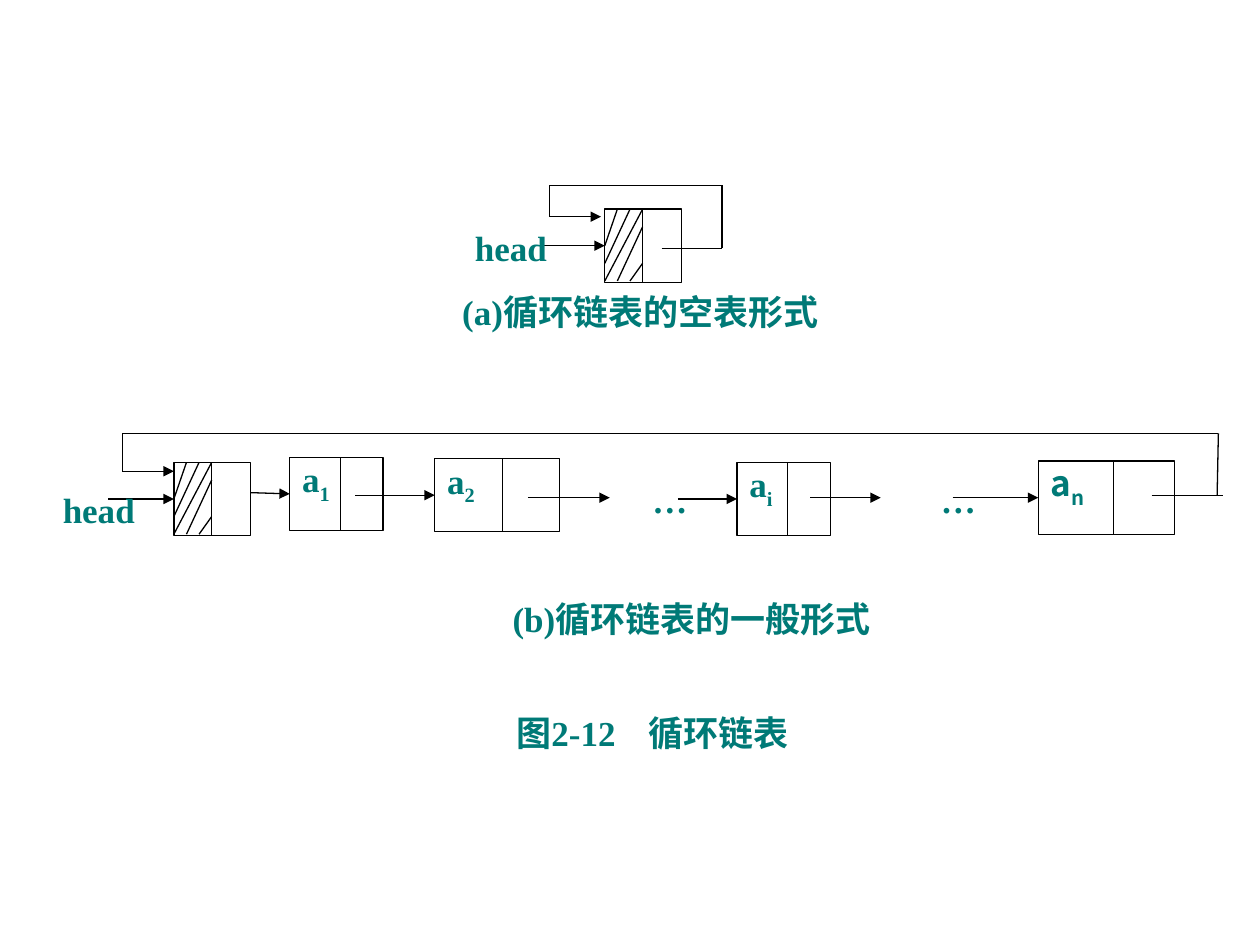
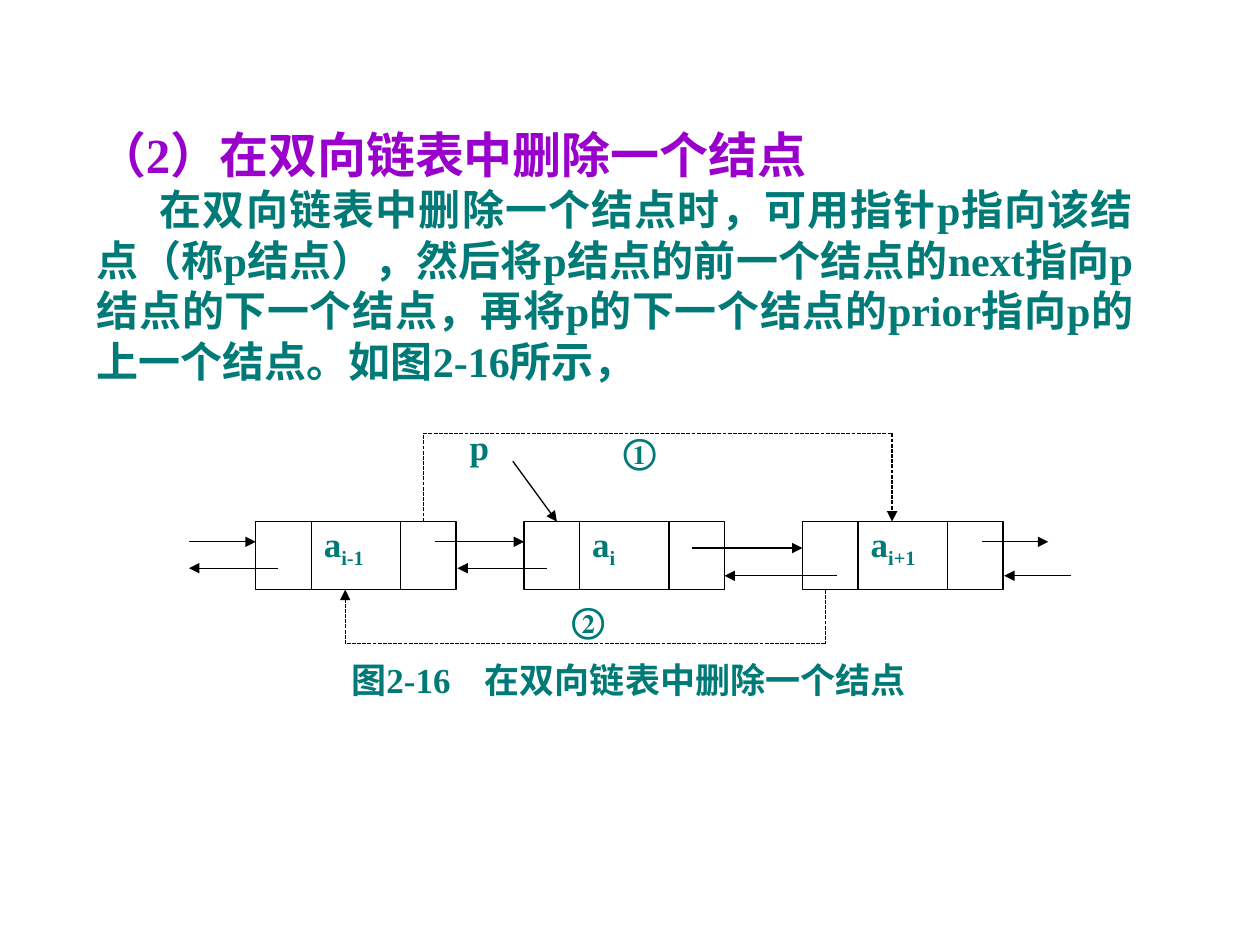
from dataclasses import dataclass

from lxml import etree
from pptx import Presentation
from pptx import util as u
from pptx.dml.color import RGBColor
from pptx.enum import dml, shapes, text
from pptx.oxml import ns


@dataclass(frozen=True)
class Theme:
    ink: RGBColor = RGBColor(0x00, 0x7A, 0x77)
    heading: RGBColor = RGBColor(0x99, 0x00, 0xCC)
    stroke: RGBColor = RGBColor(0x00, 0x00, 0x00)
    paper: RGBColor = RGBColor(0xFF, 0xFF, 0xFF)
    latin: str = "Times New Roman"
    asian: str = "Noto Sans CJK SC"
    label_size: int = 20
    body_size: int = 24
    heading_size: int = 28
    leading: float = 1.2
    stroke_width: float = 0.75
    subscript: int = -25000


HEAD_WIDTH = 0.61
NODE_HEIGHT = 0.58
DATA_CELL = 0.3
HATCHING = (
    (0.3, 0, 0, 0.57),
    (0.1, 0, 0, 0.29),
    (0.2, 0, 0, 0.43),
    (0.3, 0.14, 0.1, 0.57),
    (0.3, 0.43, 0.2, 0.57),
)


def add_xml(parent, tag, **values):
    return etree.SubElement(parent, ns.qn(tag), **values)


class Drawing:
    def __init__(self, deck, theme):
        self.deck = deck
        self.theme = theme
        self.page = None

    def new_page(self, layout):
        self.page = self.deck.slides.add_slide(self.deck.slide_layouts[layout])

    def span(self, para, words, size, color, font=None, baseline=None):
        span = para.add_run()
        span.text = words
        values = {"name": font or self.theme.latin, "size": u.Pt(size), "bold": True}
        for key, value in values.items():
            setattr(span.font, key, value)
        span.font.color.rgb = color
        properties = span._r.get_or_add_rPr()
        add_xml(properties, "a:ea", typeface=self.theme.asian)
        if baseline:
            properties.set("baseline", str(baseline))

    def frame(self, box, size, inset=0.1, align=text.PP_ALIGN.LEFT):
        frame = box.text_frame
        values = {
            "word_wrap": True,
            "auto_size": text.MSO_AUTO_SIZE.NONE,
            "vertical_anchor": text.MSO_ANCHOR.TOP,
            "margin_left": u.Inches(inset),
            "margin_right": u.Inches(0.1),
            "margin_top": u.Inches(0.05),
            "margin_bottom": u.Inches(0.05),
        }
        for key, value in values.items():
            setattr(frame, key, value)
        para = frame.paragraphs[0]
        para.alignment = align
        para.line_spacing = u.Pt(size * self.theme.leading)
        para.space_before = u.Pt(0)
        return para

    def title(self, words, left, top, width, height):
        box = self.page.shapes.title
        values = {"left": left, "top": top, "width": width, "height": height}
        for key, value in values.items():
            setattr(box, key, u.Inches(value))
        size = self.theme.heading_size
        self.span(self.frame(box, size), words, size, self.theme.heading)

    def label(self, words, left, top, width, height=0.44, size=None, tab=None,
              indent=None, align=text.PP_ALIGN.LEFT):
        size = size or self.theme.label_size
        box = self.page.shapes.add_textbox(*map(u.Inches, (left, top, width, height)))
        para = self.frame(box, size, align=align)
        properties = para._p.get_or_add_pPr()
        if tab:
            stops = add_xml(properties, "a:tabLst")
            add_xml(stops, "a:tab", pos=str(u.Inches(tab)), algn="l")
        if indent:
            properties.set("indent", str(u.Inches(indent)))
        self.span(para, words, size, self.theme.ink)

    def line(self, start, end, arrow=False, dotted=False, target=None, side=1):
        connector = self.page.shapes.add_connector(
            shapes.MSO_CONNECTOR.STRAIGHT, *map(u.Inches, (*start, *end)))
        if target is not None:
            connector.end_connect(target, side)
        connector.line.color.rgb = self.theme.stroke
        connector.line.width = u.Pt(self.theme.stroke_width)
        if dotted:
            connector.line.dash_style = dml.MSO_LINE.SQUARE_DOT
        if arrow:
            add_xml(connector.line._get_or_add_ln(), "a:tailEnd", type="triangle")
        add_xml(connector._element.spPr, "a:effectLst")

    def route(self, points, dotted=False):
        legs = list(zip(points, points[1:]))
        for number, (start, end) in enumerate(legs, 1):
            self.line(start, end, arrow=number == len(legs), dotted=dotted)

    def node(self, left, top, width, height, dividers, name="", index="",
             inset=0.1, font=None):
        box = self.page.shapes.add_shape(
            shapes.MSO_SHAPE.RECTANGLE, *map(u.Inches, (left, top, width, height)))
        box.shadow.inherit = False
        box.fill.solid()
        box.fill.fore_color.rgb = self.theme.paper
        box.line.color.rgb = self.theme.stroke
        box.line.width = u.Pt(self.theme.stroke_width)
        if name:
            size, ink = self.theme.label_size, self.theme.ink
            para = self.frame(box, size, inset)
            self.span(para, name, size, ink, font)
            self.span(para, index, size, ink, font, self.theme.subscript)
        for offset in dividers:
            self.line((left + offset, top), (left + offset, top + height))
        return box

    def head_node(self, left, top):
        box = self.node(left, top, HEAD_WIDTH, NODE_HEIGHT, [DATA_CELL])
        for x1, y1, x2, y2 in HATCHING:
            self.line((left + x1, top + y1), (left + x2, top + y2))
        return box


def draw_circular_lists(drawing):
    drawing.new_page(6)

    empty_head = drawing.head_node(4.8, 1.66)
    drawing.line((4.28, 1.95), (4.8, 1.95), arrow=True, target=empty_head)
    drawing.route([(5.25, 1.97), (5.73, 1.97), (5.73, 1.47), (4.36, 1.47),
                   (4.36, 1.72), (4.77, 1.72)])
    drawing.label("head", 3.67, 1.75, 0.77)
    drawing.label("(a)循环链表的空表形式", 3.57, 2.26, 3.2)

    head = drawing.head_node(1.38, 3.67)
    drawing.line((0.86, 3.96), (1.38, 3.96), arrow=True, target=head)
    nodes = (
        (2.3, 3.63, 0.74, 0.4, "1", 1.99, 3.91, None),
        (3.45, 3.64, 0.99, 0.54, "2", 2.82, 3.93, None),
        (5.85, 3.67, 0.74, 0.4, "i", 5.38, 3.96, None),
        (8.24, 3.66, 1.08, 0.6, "n", 7.56, 3.95, drawing.theme.asian),
    )
    for left, top, width, divider, index, start, level, font in nodes:
        box = drawing.node(left, top, width, NODE_HEIGHT, [divider], "a", index, font=font)
        drawing.line((start, level), (left, level), arrow=True, target=box)
    for start, end in ((4.19, 4.84), (6.43, 6.99)):
        drawing.line((start, 3.95), (end, 3.95), arrow=True)
    drawing.line((9.14, 3.93), (9.71, 3.93))
    drawing.route([(9.66, 3.93), (9.67, 3.44), (0.97, 3.44), (0.97, 3.74), (1.38, 3.74)])

    drawing.label("head", 0.4, 3.83, 0.8)
    for left in (5.08, 7.37):
        drawing.label("…", left, 3.75, 0.6)
    drawing.label("(b)循环链表的一般形式", 3.97, 4.69, 3.2)
    drawing.label("图2-12\t循环链表", 4, 5.6, 2.5, tab=1.05)


def draw_deletion(drawing):
    drawing.new_page(5)
    drawing.title("（2）在双向链表中删除一个结点", 0.67, 0.94, 8.42, 0.5)
    drawing.label(
        "在双向链表中删除一个结点时，可用指针p指向该结点（称p结点），"
        "然后将p结点的前一个结点的next指向p结点的下一个结点，"
        "再将p的下一个结点的prior指向p的上一个结点。如图2-16所示，",
        0.67, 1.41, 8.42, 1.75, size=drawing.theme.body_size, indent=0.5,
        align=text.PP_ALIGN.JUSTIFY)

    for left, index in ((2.03, "i-1"), (4.16, "i"), (6.37, "i+1")):
        drawing.node(left, 4.14, 1.59, 0.54, [0.44, 1.15], "a", index, inset=0.54)
    links = (
        (1.5, 2.03, 4.3), (2.21, 1.5, 4.51),
        (3.45, 4.16, 4.3), (4.34, 3.63, 4.51),
        (5.49, 6.37, 4.35), (6.64, 5.75, 4.57),
        (7.79, 8.32, 4.3), (8.5, 7.97, 4.57),
    )
    for start, end, level in links:
        drawing.line((start, level), (end, level), arrow=True)
    drawing.line((4.07, 3.66), (4.42, 4.14), arrow=True)
    drawing.route([(3.36, 4.14), (3.36, 3.44), (7.08, 3.44), (7.08, 4.14)], dotted=True)
    drawing.route([(6.55, 4.68), (6.55, 5.11), (2.74, 5.11), (2.74, 4.68)], dotted=True)

    for words, left, top in (("p", 3.63, 3.33), ("①", 4.85, 3.36), ("②", 4.44, 4.7)):
        drawing.label(words, left, top, 0.7)
    drawing.label("图2-16\t在双向链表中删除一个结点", 2.69, 5.18, 4.83, tab=1.06)


def main():
    deck = Presentation()
    deck.slide_width = u.Inches(10)
    deck.slide_height = u.Inches(7.5)
    drawing = Drawing(deck, Theme())
    draw_circular_lists(drawing)
    draw_deletion(drawing)
    deck.save("out.pptx")


if __name__ == "__main__":
    main()
